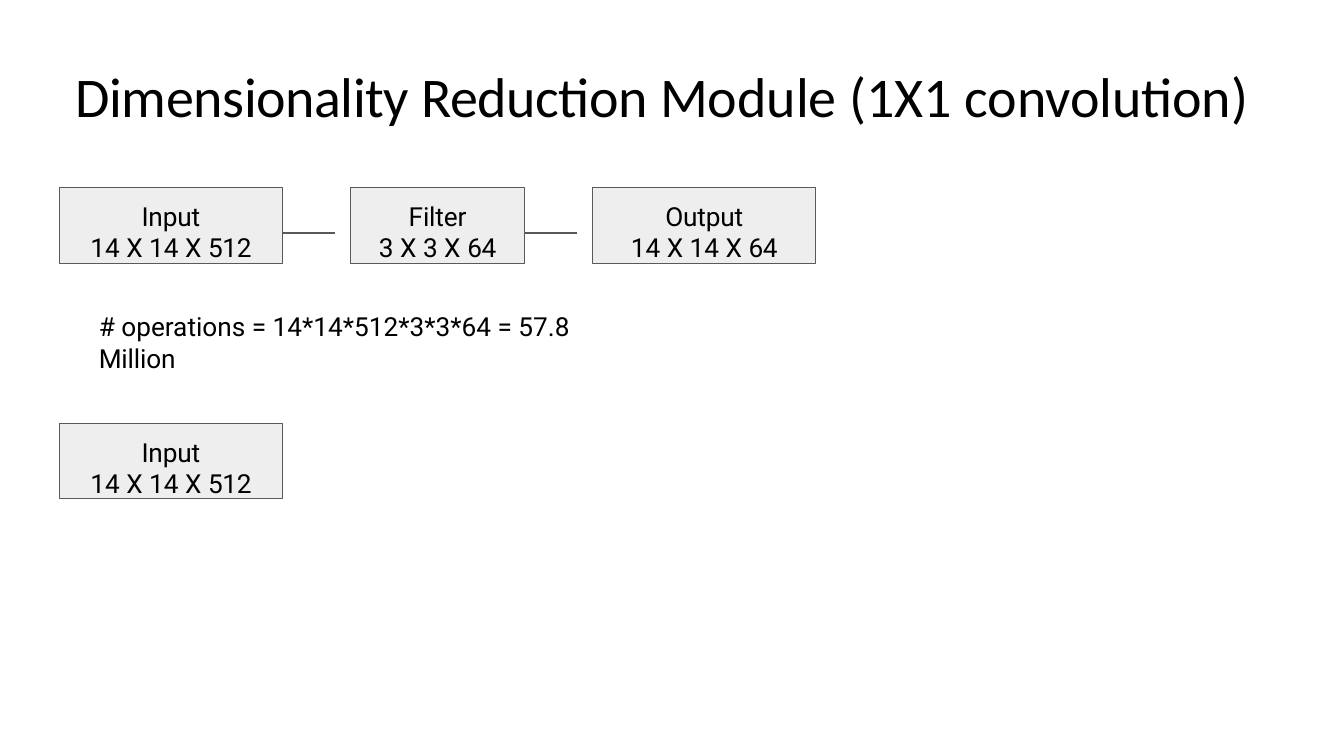
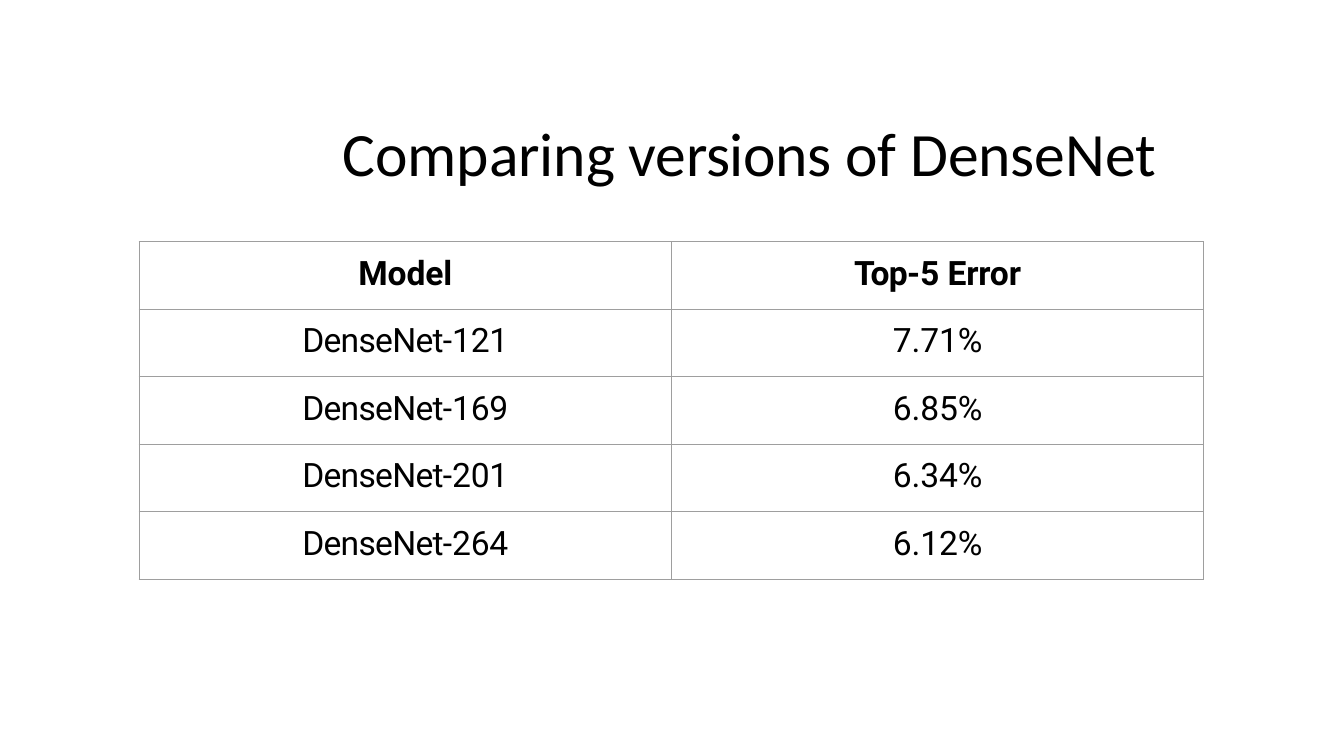
"""Build two slides: a 1X1 convolution example and a DenseNet comparison."""
import dataclasses

import pptx
import pptx.dml.color
import pptx.enum.shapes
import pptx.enum.text
import pptx.oxml
import pptx.oxml.ns
import pptx.util

Inches = pptx.util.Inches
Pt = pptx.util.Pt
RGB = pptx.dml.color.RGBColor
Align = pptx.enum.text.PP_ALIGN
Anchor = pptx.enum.text.MSO_ANCHOR


@dataclasses.dataclass(frozen=True)
class Theme:
    text: RGB = RGB.from_string("000000")
    box_fill: RGB = RGB.from_string("EEEEEE")
    box_line: RGB = RGB.from_string("595959")
    table_line: str = "9E9E9E"
    title_font: str = "Calibri"
    body_font: str = "Roboto"
    body_size: float = 18.7
    table_size: float = 24


theme = Theme()


def write(frame, lines, size=theme.body_size, font=theme.body_font, bold=False,
          align=Align.LEFT, top=0.02, anchor=Anchor.TOP, leading=None):
    """Fill a text frame with lines, each a list of (text, letter spacing) runs."""
    frame.word_wrap = True
    frame.vertical_anchor = anchor
    frame.margin_left = frame.margin_right = frame.margin_bottom = 0
    frame.margin_top = Inches(top)
    for index, runs in enumerate(lines):
        paragraph = frame.add_paragraph() if index else frame.paragraphs[0]
        paragraph.alignment = align
        if leading:
            paragraph.line_spacing = Pt(leading)
        for text, spacing in runs:
            run = paragraph.add_run()
            run.text = text
            run.font.size = Pt(size)
            run.font.name = font
            run.font.bold = bold
            run.font.color.rgb = theme.text
            run._r.get_or_add_rPr().set("spc", str(round(spacing * 100)))


deck = pptx.Presentation()
deck.slide_width, deck.slide_height = Inches(13.33), Inches(7.5)

titles = [
    ((0.75, 0.59, 12.3, 0.69), 40,
     [("Dimensionality Reduction ", -0.3), ("Module (1X1 ", 0), ("convolution)", -0.1)]),
    ((3.4, 1.12, 9, 0.76), 44,
     [("Comparing ", -0.1), ("versions ", -0.3), ("of ", 0), ("DenseNet", -0.1)]),
]
slides = []
for place, size, runs in titles:
    slide = deck.slides.add_slide(deck.slide_layouts[6])
    title = slide.shapes.add_textbox(*map(Inches, place))
    write(title.text_frame, [runs], size=size, font=theme.title_font, anchor=Anchor.MIDDLE)
    slides.append(slide)
convolution, comparison = slides

wide, narrow, gap = 2.21, 1.72, 0.68
left, flow_top, second_top = 0.59, 1.86, 4.2
filter_left = left + wide + gap
output_left = filter_left + narrow + gap
stages = [
    (left, flow_top, wide, "Input", "14 X 14 X ", "512"),
    (filter_left, flow_top, narrow, "Filter", "3 X 3 X ", "64"),
    (output_left, flow_top, wide, "Output", "14 X 14 X ", "64"),
    (left, second_top, wide, "Input", "14 X 14 X ", "512"),
]
for x, y, width, name, area, depth in stages:
    stage = convolution.shapes.add_shape(
        pptx.enum.shapes.MSO_SHAPE.RECTANGLE, Inches(x), Inches(y), Inches(width), Inches(0.75))
    stage.shadow.inherit = False
    stage.fill.solid()
    stage.fill.fore_color.rgb = theme.box_fill
    stage.line.color.rgb = theme.box_line
    stage.line.width = Pt(0.75)
    write(stage.text_frame, [[(name, -0.1)], [(area, 0), (depth, -0.3)]],
          align=Align.CENTER, top=0.13, leading=22.2)

for x in (left + wide, filter_left + narrow):
    link = convolution.shapes.add_connector(
        pptx.enum.shapes.MSO_CONNECTOR.STRAIGHT,
        Inches(x), Inches(2.31), Inches(x + 0.52), Inches(2.31))
    link.line.color.rgb = theme.box_line
    link.line.width = Pt(1.5)
    link._element.spPr.append(pptx.oxml.parse_xml(
        f'<a:effectLst {pptx.oxml.ns.nsdecls("a")}/>'))

operations = convolution.shapes.add_textbox(Inches(0.98), Inches(3.06), Inches(5.4), Inches(0.65))
write(operations.text_frame,
      [[("# operations = 14*14*512*3*3*64 = 57.8 ", 0), ("Million", -0.1)]])

rows = [([("Model", -0.1)], [("Top-", -0.6), ("5", 0), (" Error", -0.1)])]
for depth, error in (("121", "7.71%"), ("169", "6.85%"), ("201", "6.34%"), ("264", "6.12%")):
    rows.append(([("DenseNet-", -0.5), (depth, -0.2)], [(error, -0.1)]))

row_height = 0.67
errors = comparison.shapes.add_table(
    len(rows), 2, Inches(1.38), Inches(2.4), Inches(10.56), Inches(row_height * len(rows))).table
errors.first_row = errors.horz_banding = False
for row_index, row in enumerate(rows):
    errors.rows[row_index].height = Inches(row_height)
    for column, runs in enumerate(row):
        cell = errors.cell(row_index, column)
        write(cell.text_frame, [runs], size=theme.table_size, bold=row_index == 0,
              align=Align.CENTER)
        cell.margin_left = cell.margin_right = cell.margin_bottom = 0
        cell.margin_top = Inches(0.12)
        cell.vertical_anchor = Anchor.TOP
        properties = cell._tc.get_or_add_tcPr()
        for side in ("lnL", "lnR", "lnT", "lnB"):
            properties.append(pptx.oxml.parse_xml(
                f'<a:{side} {pptx.oxml.ns.nsdecls("a")} w="{Pt(0.75)}"><a:solidFill>'
                f'<a:srgbClr val="{theme.table_line}"/></a:solidFill></a:{side}>'))
        cell.fill.background()

deck.save("out.pptx")
